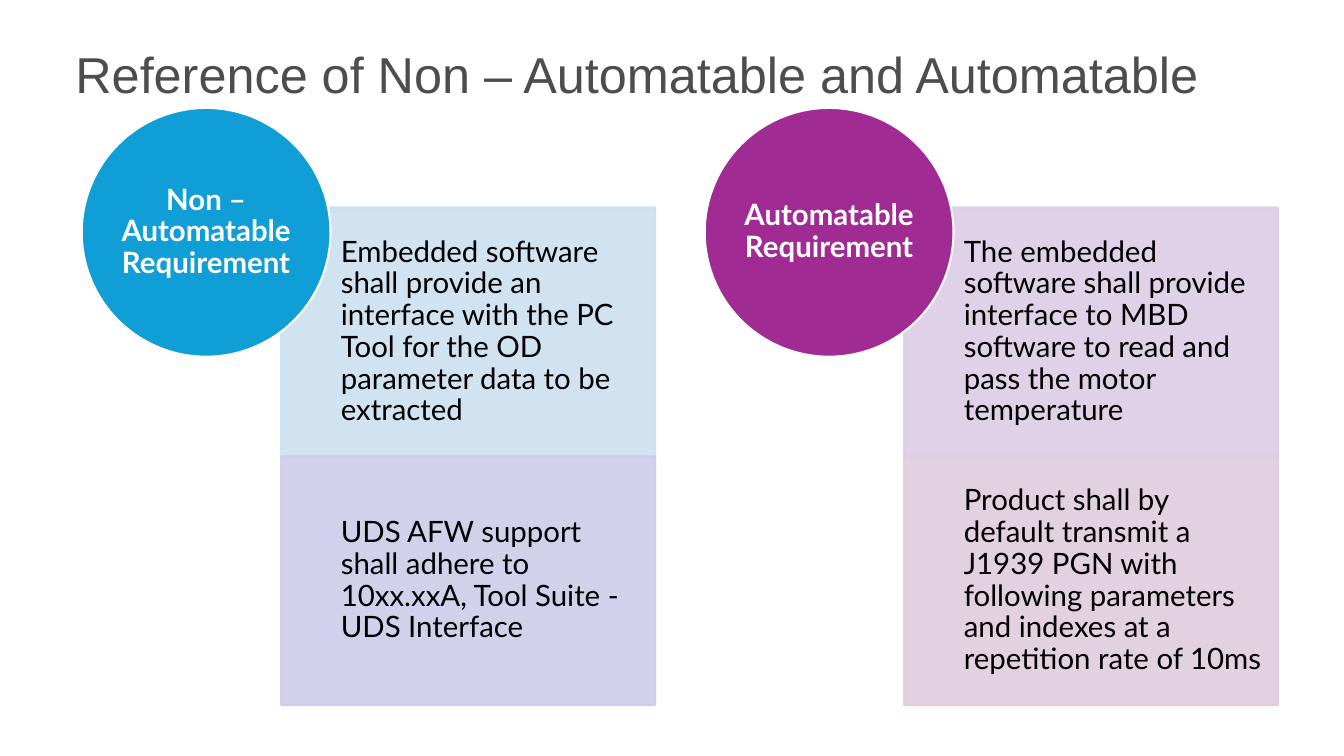
"""Build the slide on non-automatable and automatable requirements."""
from lxml.etree import SubElement
from pptx import Presentation
from pptx.dml.color import RGBColor
from pptx.enum.shapes import MSO_SHAPE as Kind
from pptx.enum.text import MSO_ANCHOR as Anchor, PP_ALIGN as Align
from pptx.oxml.ns import qn
from pptx.util import Cm, Pt


def paint(fill, color, alpha=100):
    fill.solid()
    fill.fore_color.rgb = RGBColor.from_string(color)
    if alpha < 100:
        node = fill._xPr.find(qn("a:solidFill"))[0]
        SubElement(node, qn("a:alpha")).set("val", str(alpha * 1000))


def write(shape, text, size, name, color, align, pads, bold=False):
    frame = shape.text_frame
    frame.word_wrap = True
    frame.margin_left, frame.margin_top, frame.margin_right, frame.margin_bottom = map(Cm, pads)
    frame.text = text
    line = frame.paragraphs[0]
    line.alignment = align
    line.line_spacing = 0.9
    font = line.runs[0].font
    font.size, font.name, font.bold = Pt(size), name, bold
    paint(font.fill, color)


groups = [
    ("Non – Automatable Requirement", "0F9ED5", [
        ("Embedded software shall provide an interface with the PC Tool "
         "for the OD parameter data to be extracted", "CCDFEF"),
        ("UDS AFW support shall adhere to 10xx.xxA, Tool Suite - UDS Interface", "CDCCEB"),
    ]),
    ("Automatable Requirement", "A02B93", [
        ("The embedded software shall provide interface to MBD software "
         "to read and pass the motor temperature", "DCCDE5"),
        ("Product shall by default transmit a J1939 PGN with following parameters "
         "and indexes at a repetition rate of 10ms", "DFCDDC"),
    ]),
]
size = 6.27
pitch = 15.7

deck = Presentation()
deck.slide_width, deck.slide_height = Cm(33.87), Cm(19.05)
slide = deck.slides.add_slide(deck.slide_layouts[6])
shapes = slide.shapes

title = shapes.add_textbox(Cm(1.65), Cm(1.14), Cm(29.31), Cm(1.75))
write(title, "Reference of Non – Automatable and Automatable", 36, "Arial", "4D4D4F",
      Align.LEFT, (0.25, 0.13, 0.25, 0.13))

for col, (head, tint, cards) in enumerate(groups):
    left = 2.06 + col * pitch
    for row, (text, shade) in enumerate(cards):
        card = shapes.add_shape(Kind.RECTANGLE, Cm(left + 5.03), Cm(5.23 + row * size),
                                Cm(9.42), Cm(size))
        card.shadow.inherit = False
        paint(card.fill, shade, 90)
        paint(card.line.fill, shade, 90)
        card.line.width = Pt(1.5)
        card.text_frame.vertical_anchor = Anchor.MIDDLE
        write(card, text, 21, "Lato", "000000", Align.LEFT, (1.5, 0.41, 0.41, 0.41))

    disc = shapes.add_shape(Kind.OVAL, Cm(left), Cm(2.72), Cm(size), Cm(size))
    disc.shadow.inherit = False
    paint(disc.fill, tint)
    paint(disc.line.fill, "FFFFFF")
    disc.line.width = Pt(1.5)
    disc.text_frame.vertical_anchor = Anchor.MIDDLE
    write(disc, head, 21, "Lato", "FFFFFF", Align.CENTER, (0, 0, 0, 0), True)

deck.save("out.pptx")
